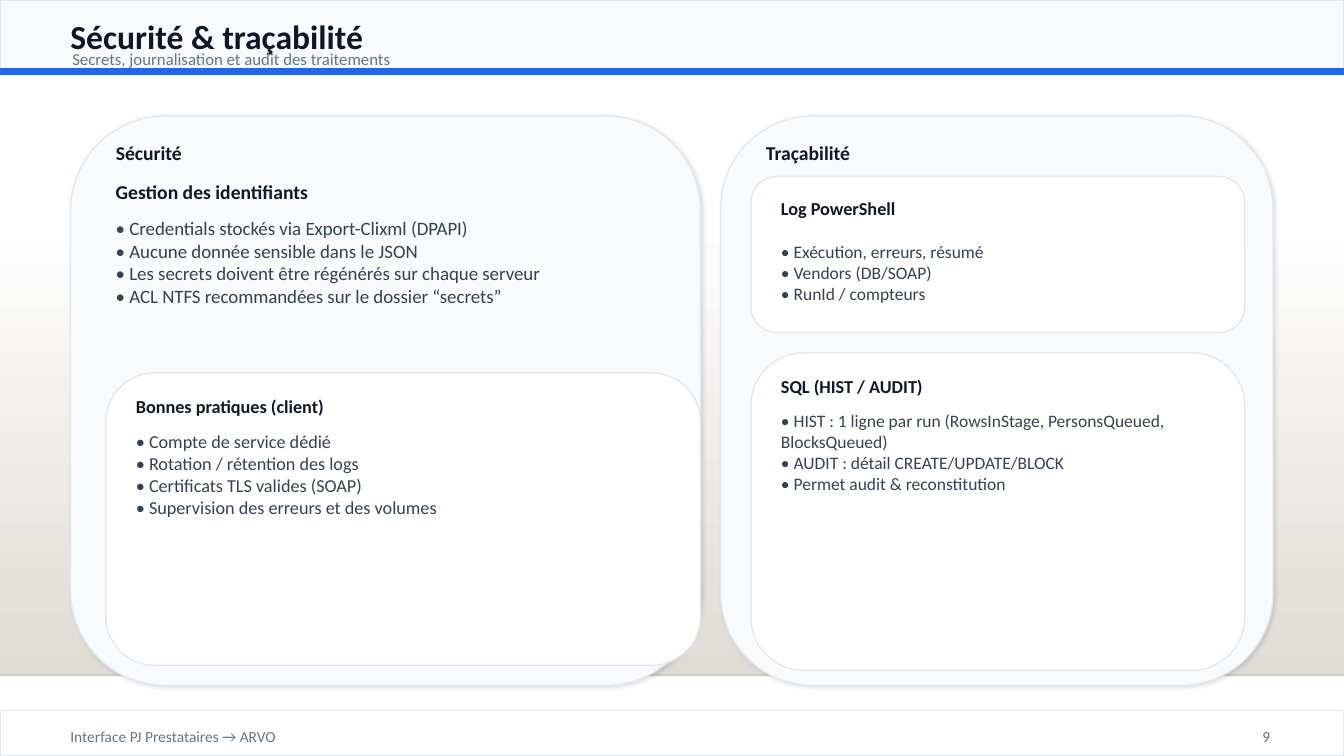
from lxml import etree
from pptx import Presentation
from pptx import util as u
from pptx.dml.color import RGBColor
from pptx.enum import shapes, text
from pptx.oxml import ns

# Content
TITLE = "Sécurité & traçabilité"
SUBTITLE = "Secrets, journalisation et audit des traitements"
FOOTER = "Interface PJ Prestataires → ARVO"
PAGE_NUMBER = "9"
SECURITY = [
    "• Credentials stockés via Export-Clixml (DPAPI)",
    "• Aucune donnée sensible dans le JSON",
    "• Les secrets doivent être régénérés sur chaque serveur",
    "• ACL NTFS recommandées sur le dossier “secrets”",
]
PRACTICES = [
    "• Compte de service dédié",
    "• Rotation / rétention des logs",
    "• Certificats TLS valides (SOAP)",
    "• Supervision des erreurs et des volumes",
]
LOG = [
    "• Exécution, erreurs, résumé",
    "• Vendors (DB/SOAP)",
    "• RunId / compteurs",
]
SQL = [
    "• HIST : 1 ligne par run (RowsInStage, PersonsQueued, BlocksQueued)",
    "• AUDIT : détail CREATE/UPDATE/BLOCK",
    "• Permet audit & reconstitution",
]

# Colours and formats
WHITE = RGBColor(0xFF, 0xFF, 0xFF)
PALE = RGBColor(0xF8, 0xFA, 0xFC)
BORDER = RGBColor(0xE2, 0xE8, 0xF0)
BLUE = RGBColor(0x25, 0x63, 0xEB)
INK = RGBColor(0x0F, 0x17, 0x2A)
SLATE = RGBColor(0x33, 0x41, 0x55)
MUTED = RGBColor(0x64, 0x74, 0x8B)
SAND = RGBColor(0xDF, 0xDB, 0xD5)
BLACK = RGBColor(0, 0, 0)
FONT = "Calibri"
TOP, MIDDLE = text.MSO_ANCHOR.TOP, text.MSO_ANCHOR.MIDDLE
RECTANGLE = shapes.MSO_SHAPE.RECTANGLE
ROUNDED = shapes.MSO_SHAPE.ROUNDED_RECTANGLE

# Measures in points
WIDTH, HEIGHT = 960, 540
HEADING_HEIGHT = 21.6
CARD_TOP, CARD_HEIGHT = 82.8, 406.8
CARD_INSET, PANEL_INSET = 25.2, 14.4
SECTION_TOP = 126
HORIZON = 482.4
SHADOW = (
    '<a:effectLst %s><a:outerShdw blurRad="38100" dist="19050" dir="2700000">'
    '<a:srgbClr val="000000"><a:alpha val="12000"/></a:srgbClr>'
    "</a:outerShdw></a:effectLst>" % ns.nsdecls("a")
)

presentation = Presentation()
presentation.slide_width, presentation.slide_height = u.Pt(WIDTH), u.Pt(HEIGHT)
slide = presentation.slides.add_slide(presentation.slide_layouts[6])


def points(*lengths):
    return [u.Pt(length) for length in lengths]


def add_box(kind, left, top, width, height, fill, line=BORDER):
    shape = slide.shapes.add_shape(kind, *points(left, top, width, height))
    shape.shadow.inherit = False
    shape.fill.solid()
    shape.fill.fore_color.rgb = fill
    shape.line.color.rgb = line
    shape.line.width = u.Pt(1)
    return shape


def add_text(lines, left, top, width, height, size, color=INK, bold=False,
             anchor=MIDDLE, align=text.PP_ALIGN.LEFT):
    frame = slide.shapes.add_textbox(*points(left, top, width, height)).text_frame
    frame.word_wrap = True
    frame.vertical_anchor = anchor
    font_format = {"name": FONT, "size": u.Pt(size), "bold": bold}
    for index, line in enumerate(lines):
        paragraph = frame.paragraphs[0] if index == 0 else frame.add_paragraph()
        paragraph.alignment = align
        run = paragraph.add_run()
        run.text = line
        for name, value in font_format.items():
            setattr(run.font, name, value)
        run.font.color.rgb = color


def add_card(left, width, heading):
    shape = add_box(ROUNDED, left, CARD_TOP, width, CARD_HEIGHT, PALE)
    properties = shape._element.spPr
    properties.remove(properties.find(ns.qn("a:effectLst")))
    properties.append(etree.fromstring(SHADOW))
    add_text([heading], left + CARD_INSET, 98.6, width - 2 * CARD_INSET,
             HEADING_HEIGHT, 14, bold=True)


def add_panel(left, top, width, height, heading, lines, size, body_height,
              anchor=TOP, heading_gap=13, body_gap=37.4):
    add_box(ROUNDED, left, top, width, height, WHITE)
    text_left = left + PANEL_INSET
    add_text([heading], text_left, top + heading_gap, width - 2 * PANEL_INSET,
             HEADING_HEIGHT, 13, bold=True)
    add_text(lines, text_left, top + body_gap, width - 1.5 * PANEL_INSET,
             body_height, size, SLATE, anchor=anchor)


# Backdrop: fade down to the horizon line
backdrop = add_box(RECTANGLE, 0, 159, WIDTH, HORIZON - 159, WHITE)
backdrop.line.fill.background()
backdrop.fill.gradient()
backdrop.fill.gradient_angle = 270
for stop, color, position in zip(backdrop.fill.gradient_stops, (WHITE, SAND), (0, 1)):
    stop.color.rgb, stop.position = color, position

horizon = slide.shapes.add_connector(
    shapes.MSO_CONNECTOR.STRAIGHT, *points(0, HORIZON, WIDTH, HORIZON))
horizon.line.color.rgb = BLACK
horizon.line.width = u.Pt(1)
horizon_properties = horizon._element.spPr
horizon_color = next(horizon_properties.iter(ns.qn("a:srgbClr")))
etree.SubElement(horizon_color, ns.qn("a:alpha"), val="20000")
etree.SubElement(horizon_properties, ns.qn("a:effectLst"))

# Header
add_box(RECTANGLE, 0, 0, WIDTH, 50.4, PALE)
add_text([TITLE], 43.2, 13, 676.8, 25.2, 24, bold=True)
add_text([SUBTITLE], 44.6, 34.6, 849.6, 14.4, 12, MUTED)
add_box(RECTANGLE, 0, 49, WIDTH, 4.3, BLUE, BLUE)

# Security card
left, width = 50.4, 450
inner_left, inner_width = left + CARD_INSET, width - CARD_INSET
add_card(left, width, "Sécurité")
add_text(["Gestion des identifiants"], inner_left, SECTION_TOP, 403.2,
         HEADING_HEIGHT, 14, bold=True)
add_text(SECURITY, inner_left, 151.2, inner_width, 100.8, 13.5, SLATE, anchor=TOP)
add_panel(inner_left, 266.4, inner_width, 208.8, "Bonnes pratiques (client)",
          PRACTICES, 13, 151.2)

# Traceability card
left, width = 514.8, 394.5
panel_left, panel_width = left + 21.6, 352.8
add_card(left, width, "Traçabilité")
add_panel(panel_left, SECTION_TOP, panel_width, 111.6, "Log PowerShell", LOG, 12.5,
          64.8, anchor=MIDDLE, heading_gap=12.2, body_gap=36)
add_panel(panel_left, 252, panel_width, 226.8, "SQL (HIST / AUDIT)", SQL, 12.5, 165.6)

# Footer
add_box(RECTANGLE, 0, 507.6, WIDTH, 32.4, WHITE)
add_text([FOOTER], 43.2, 517, 468, 18, 11, MUTED)
add_text([PAGE_NUMBER], 518.4, 517, 396, 18, 11, MUTED, align=text.PP_ALIGN.RIGHT)

presentation.save("out.pptx")
